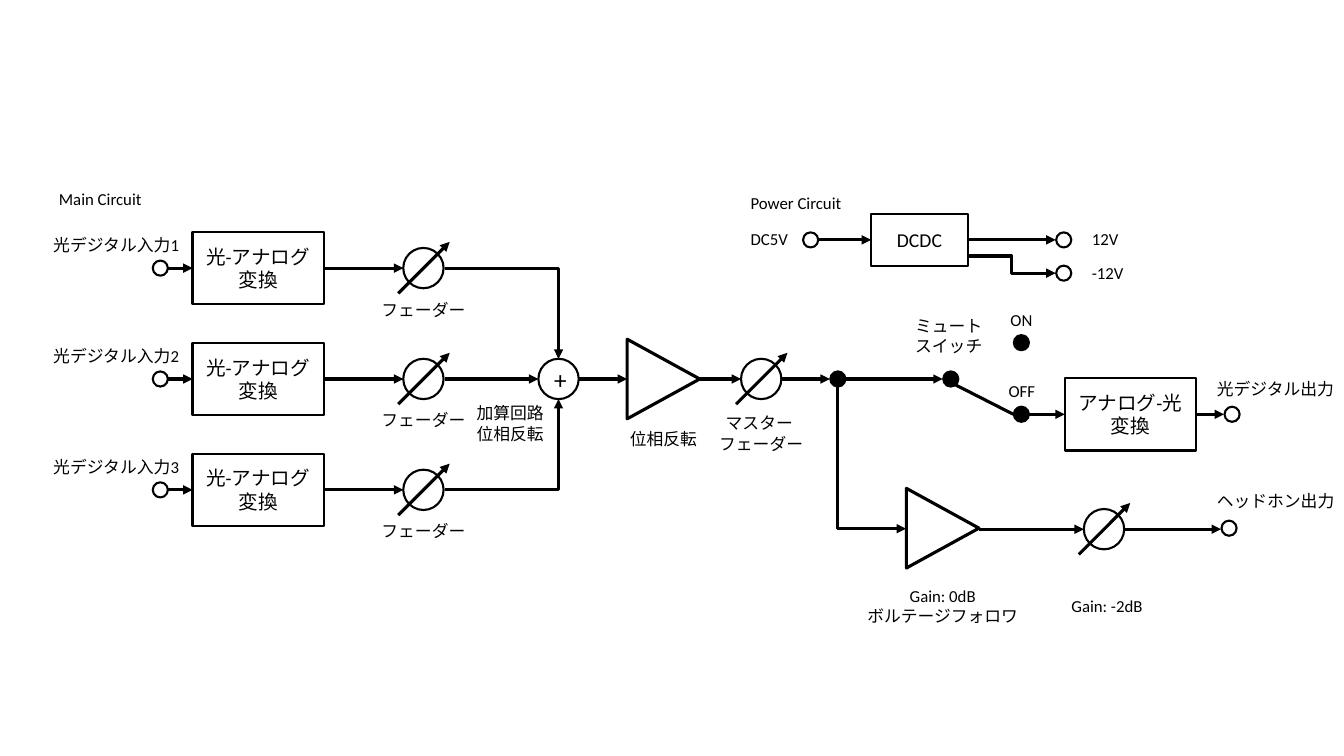
from pptx import Presentation
from pptx.dml.color import RGBColor
from pptx.enum.shapes import MSO_CONNECTOR, MSO_SHAPE
from pptx.enum.text import MSO_ANCHOR, MSO_AUTO_SIZE, PP_ALIGN
from pptx.oxml.ns import qn
from pptx.util import Inches, Pt
from lxml import etree

RECT, OVAL = MSO_SHAPE.RECTANGLE, MSO_SHAPE.OVAL
WEDGE = MSO_SHAPE.ISOSCELES_TRIANGLE
LINE, ELBOW = MSO_CONNECTOR.STRAIGHT, MSO_CONNECTOR.ELBOW
LEFT, MID = PP_ALIGN.LEFT, PP_ALIGN.CENTER
COLORS = {"ink": "000000", "paper": "FFFFFF"}
INK = RGBColor.from_string(COLORS["ink"])

deck = Presentation()
deck.slide_width, deck.slide_height = Inches(13.33), Inches(7.5)
slide = deck.slides.add_slide(deck.slide_layouts[6])
shapes = slide.shapes


def node(kind, x, y, wide, high, fill=None, text="", size=14, weight=1.5, turn=0):
    item = shapes.add_shape(kind, Inches(x - wide / 2), Inches(y - high / 2),
                            Inches(wide), Inches(high))
    item.shadow.inherit = False
    item.rotation = turn
    if fill:
        item.fill.solid()
        item.fill.fore_color.rgb = RGBColor.from_string(COLORS[fill])
    else:
        item.fill.background()
    item.line.color.rgb = INK
    item.line.width = Pt(weight)
    if text:
        frame = item.text_frame
        frame.text = text
        frame.vertical_anchor = MSO_ANCHOR.MIDDLE
        for para in frame.paragraphs:
            para.alignment = MID
            para.font.name, para.font.size = "Calibri", Pt(size)
            para.font.color.rgb = INK


def wire(x1, y1, x2, y2, kind=LINE, arrow=True):
    item = shapes.add_connector(kind, Inches(x1), Inches(y1), Inches(x2), Inches(y2))
    item.line.color.rgb = INK
    item.line.width = Pt(2.25)
    props = item._element.spPr
    if arrow:
        etree.SubElement(props.find(qn("a:ln")), qn("a:tailEnd"), type="triangle")
    etree.SubElement(props, qn("a:effectLst"))
    return props


inputs = [2.66, 3.76, 4.86]
axis, out, phones, power = 3.76, 4.11, 5.25, 2.38

for y in inputs:
    node(RECT, 2.56, y, 1.3, 0.72, text="光-アナログ\n変換")
    node(OVAL, 1.59, y, 0.15, 0.15)
    wire(1.67, y, 1.91, y)
    wire(3.21, y, 4, y)

for x, y in [(4.2, y) for y in inputs] + [(7.55, axis), (10.95, phones)]:
    node(OVAL, x, y, 0.4, 0.4, "paper")
    wire(x - 0.25, y + 0.25, x + 0.26, y - 0.26)

node(OVAL, 5.54, axis, 0.4, 0.4, "paper", "+", 18)
for y, end in [(inputs[0], 3.56), (inputs[2], 3.96)]:
    bend = wire(4.41, y, 5.54, end, ELBOW)
    bend.find(qn("a:prstGeom")).set("prst", "bentConnector2")

drop = wire(9.35, 4.2, 7.94, 4.88, ELBOW)
drop.find(qn("a:prstGeom")).set("prst", "bentConnector2")
drop.find(qn("a:xfrm")).set("rot", "16200000")

for x, y in [(6.58, axis), (9.35, 5.24)]:
    node(WEDGE, x, y, 0.79, 0.72, "paper", weight=2.25, turn=90)

for x, y in [(8.31, axis), (9.43, axis), (10.13, 3.4), (10.13, out)]:
    node(OVAL, x, y, 0.15, 0.15, "ink")

for x, y in [(12.22, out), (12.19, 5.24), (8.04, power), (10.55, power), (10.55, 2.71)]:
    node(OVAL, x, y, 0.15, 0.15)

node(RECT, 11.21, out, 1.3, 0.72, text="アナログ-光\n変換")
node(RECT, 9.12, power, 0.97, 0.51, text="DCDC")

for x1, x2, y in [
    (4.41, 5.34, axis), (5.74, 6.22, axis), (6.94, 7.35, axis),
    (7.76, 8.23, axis), (8.38, 9.35, axis),
    (10.21, 10.56, out), (11.86, 12.14, out),
    (9.71, 10.75, phones), (11.16, 12.11, phones),
    (8.12, 8.64, power), (9.6, 10.47, power),
]:
    wire(x1, y, x2, y)
wire(9.48, 3.82, 10.05, out, arrow=False)
wire(9.6, 2.54, 10.47, 2.71, ELBOW)

labels = [
    (0.48, 1.82, 1.03, "Main Circuit", MID),
    (7.34, 1.86, 1.11, "Power Circuit", MID),
    (7.34, 2.22, 0.58, "DC5V", MID),
    (10.73, 2.22, 0.52, "12V", LEFT),
    (10.73, 2.56, 0.52, "-12V", LEFT),
    (4.62, 3.95, 0.88, "加算回路\n位相反転", MID),
    (6.14, 4.2, 0.88, "位相反転", MID),
    (7.03, 4.05, 1.04, "マスター \nフェーダー", MID),
    (8.97, 3.08, 0.88, "ミュート\nスイッチ", MID),
    (9.92, 3.02, 0.42, "ON", MID),
    (9.9, 3.73, 0.47, "OFF", MID),
    (11.97, 3.71, 1.38, "光デジタル出力", LEFT),
    (11.97, 4.82, 1.38, "ヘッドホン出力", LEFT),
    (8.49, 5.76, 1.72, "Gain: 0dB\nボルテージフォロワ", MID),
    (10.52, 5.86, 0.92, "Gain: -2dB", MID),
]
for rank, y in enumerate(inputs, 1):
    labels.append((0.43, y - 0.38, 1.47, f"光デジタル入力{rank}", LEFT))
    labels.append((3.68, y + 0.26, 1.04, "フェーダー", MID))

for x, y, wide, text, align in labels:
    high = 0.5 if "\n" in text else 0.3
    box = shapes.add_textbox(Inches(x), Inches(y), Inches(wide), Inches(high))
    frame = box.text_frame
    frame.text = text
    frame.word_wrap = False
    frame.auto_size = MSO_AUTO_SIZE.SHAPE_TO_FIT_TEXT
    for para in frame.paragraphs:
        para.alignment = align
        para.font.name, para.font.size = "Calibri", Pt(12)
        para.font.color.rgb = INK

deck.save("out.pptx")
